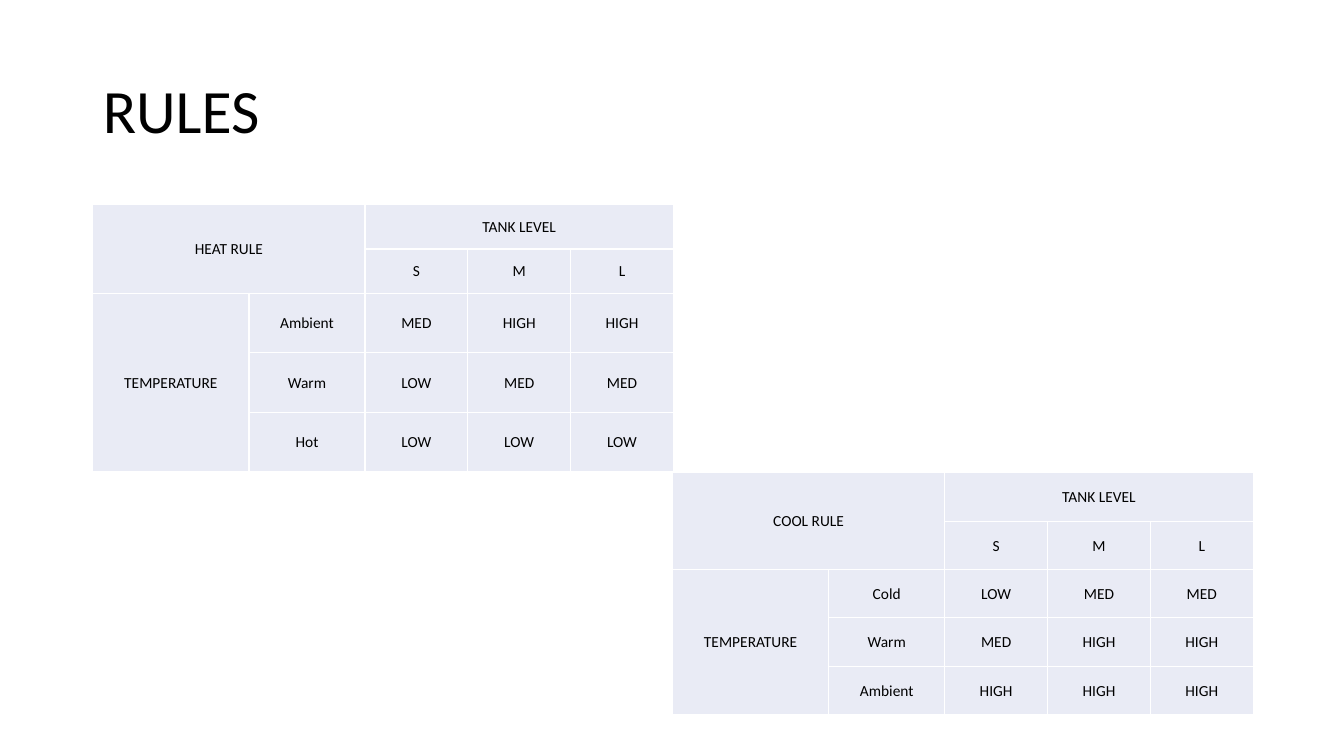
import dataclasses

import lxml.etree
import pptx
import pptx.dml.color
import pptx.enum.text
import pptx.oxml.ns
import pptx.util

Inches = pptx.util.Inches
Pt = pptx.util.Pt
RGBColor = pptx.dml.color.RGBColor
PP_ALIGN = pptx.enum.text.PP_ALIGN
MIDDLE = pptx.enum.text.MSO_ANCHOR.MIDDLE

FONT = "Calibri"
BLACK = RGBColor(0x00, 0x00, 0x00)
WHITE = RGBColor(0xFF, 0xFF, 0xFF)
CELL_FILL = RGBColor(0xE9, 0xEB, 0xF5)

COLUMN_WIDTHS = [1.55, 1.15, 1.02, 1.02, 1.02]
LEVELS = ["S", "M", "L"]


@dataclasses.dataclass
class RuleTable:
    name: str
    left: float
    top: float
    header_height: float
    body_height: float
    outputs: dict[str, list[str]]  # temperature -> output per tank level


RULE_TABLES = [
    RuleTable("HEAT RULE", 0.92, 2.03, 0.44, 0.59, {
        "Ambient": ["MED", "HIGH", "HIGH"],
        "Warm": ["LOW", "MED", "MED"],
        "Hot": ["LOW", "LOW", "LOW"],
    }),
    RuleTable("COOL RULE", 6.67, 4.69, 0.48, 0.48, {
        "Cold": ["LOW", "MED", "MED"],
        "Warm": ["MED", "HIGH", "HIGH"],
        "Ambient": ["HIGH", "HIGH", "HIGH"],
    }),
]


def write(tf, text: str, *, size: float, align=PP_ALIGN.LEFT,
          spacing: float = 1.0, color: RGBColor = BLACK) -> None:
    p = tf.paragraphs[0]
    p.alignment = align
    p.line_spacing = spacing
    r = p.add_run()
    r.text = text
    r.font.name = FONT
    r.font.size = Pt(size)
    r.font.bold = False
    r.font.color.rgb = color


def add_borders(cell, color: RGBColor, width: float) -> None:
    tc_pr = cell._tc.get_or_add_tcPr()
    qn = pptx.oxml.ns.qn
    for side in ("a:lnL", "a:lnR", "a:lnT", "a:lnB"):
        ln = lxml.etree.SubElement(tc_pr, qn(side), w=str(Pt(width)))
        fill = lxml.etree.SubElement(ln, qn("a:solidFill"))
        lxml.etree.SubElement(fill, qn("a:srgbClr"), val=str(color))


def format_cell(cell) -> None:
    add_borders(cell, WHITE, 1)
    cell.fill.solid()
    cell.fill.fore_color.rgb = CELL_FILL
    cell.vertical_anchor = MIDDLE
    cell.margin_left = cell.margin_right = cell.margin_top = Inches(0.01)
    cell.margin_bottom = 0


def draw_rule_table(s, rule: RuleTable) -> None:
    grid = [
        [rule.name, "", "TANK LEVEL", "", ""],
        ["", "", *LEVELS],
        *[["", temperature, *outputs]
          for temperature, outputs in rule.outputs.items()],
    ]
    grid[2][0] = "TEMPERATURE"
    heights = [rule.header_height] * 2 + [rule.body_height] * len(rule.outputs)

    table = s.shapes.add_table(
        len(grid), len(COLUMN_WIDTHS), Inches(rule.left), Inches(rule.top),
        Inches(sum(COLUMN_WIDTHS)), Inches(sum(heights))).table
    table.first_row = table.horz_banding = False
    for column, width in zip(table.columns, COLUMN_WIDTHS):
        column.width = Inches(width)
    for row, height in zip(table.rows, heights):
        row.height = Inches(height)

    # Merged headings
    table.cell(0, 0).merge(table.cell(1, 1))
    table.cell(0, 2).merge(table.cell(0, 4))
    table.cell(2, 0).merge(table.cell(len(grid) - 1, 0))

    for i, texts in enumerate(grid):
        for j, text in enumerate(texts):
            cell = table.cell(i, j)
            format_cell(cell)
            if text:
                write(cell.text_frame, text, size=11, align=PP_ALIGN.CENTER)


prs = pptx.Presentation()
prs.slide_width = Inches(13.33)
prs.slide_height = Inches(7.5)
s = prs.slides.add_slide(prs.slide_layouts[5])

# Title
title = s.shapes.title
title.left, title.top = Inches(0.92), Inches(0.4)
title.width, title.height = Inches(11.5), Inches(1.45)
title.text_frame.vertical_anchor = MIDDLE
write(title.text_frame, "RULES", size=44, spacing=0.9)

# Rule tables
for rule in RULE_TABLES:
    draw_rule_table(s, rule)

prs.save("out.pptx")
